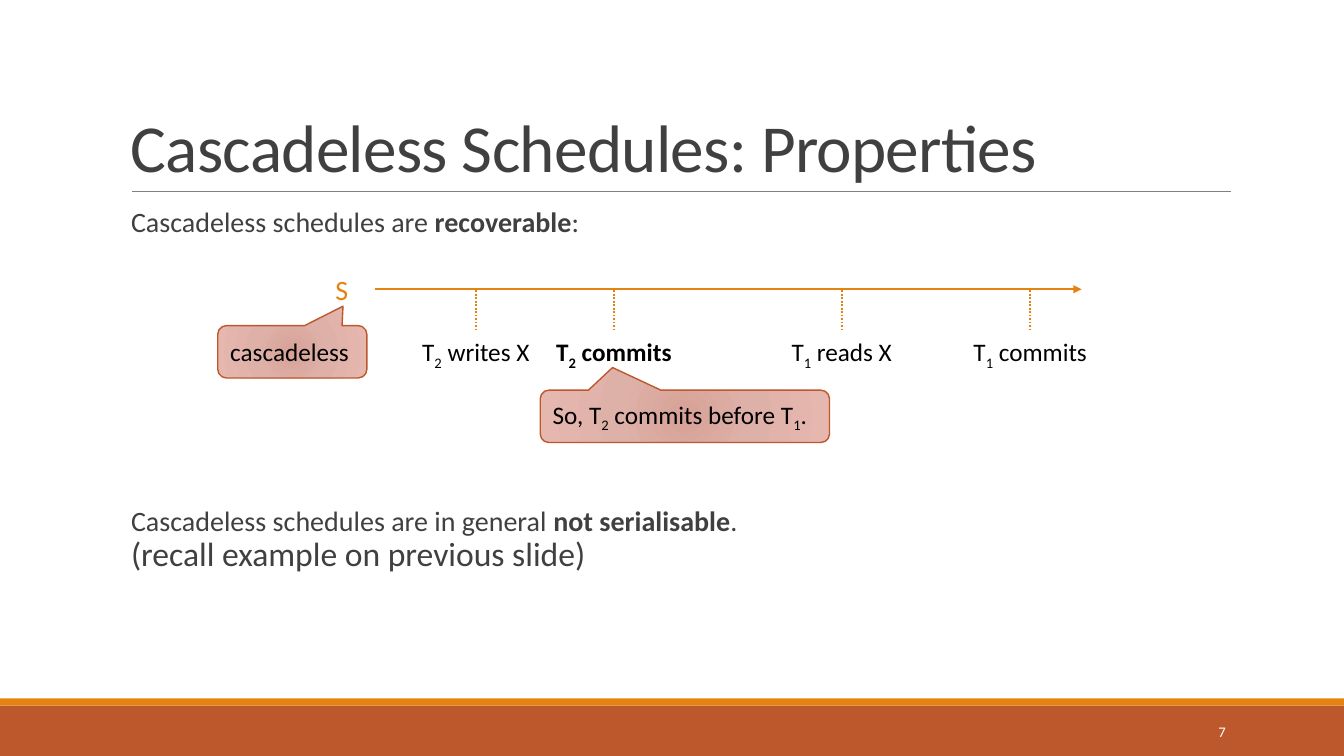
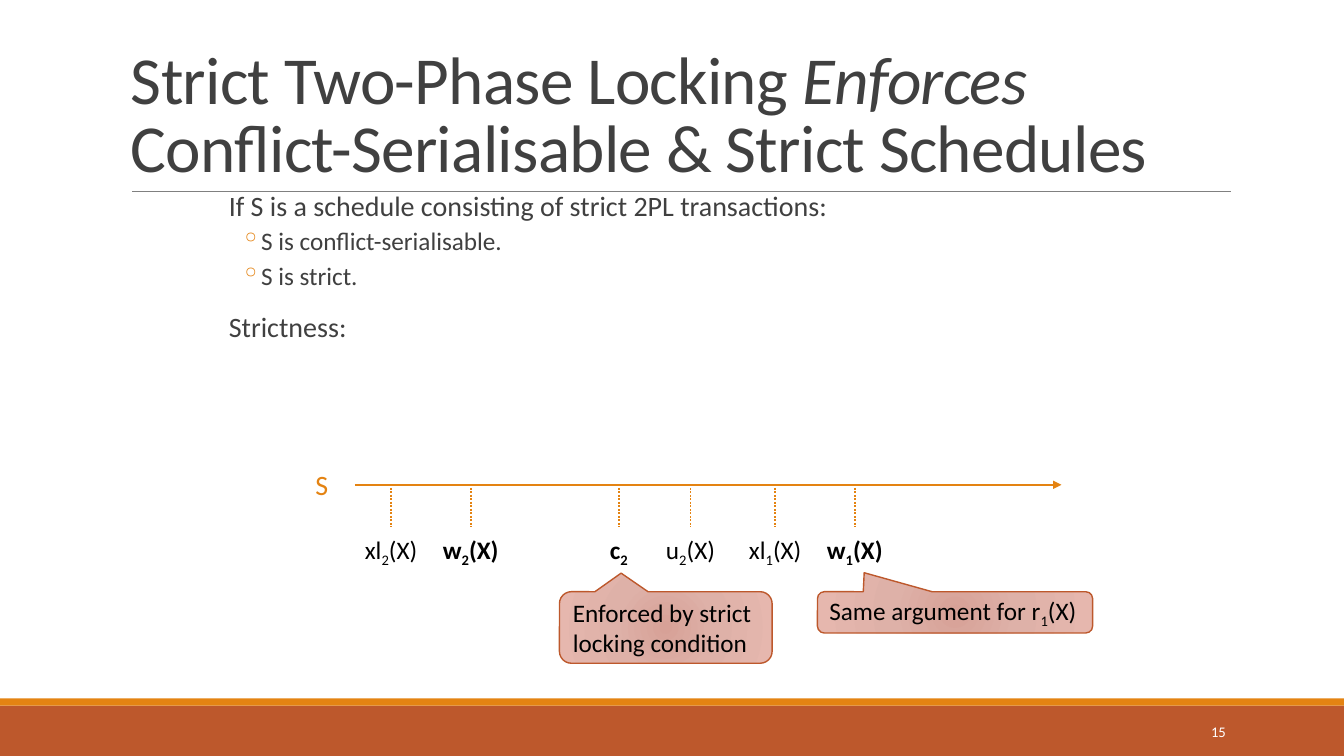
from dataclasses import dataclass

from lxml.etree import SubElement
from pptx import Presentation
from pptx.dml.color import RGBColor
from pptx.enum.dml import MSO_LINE
from pptx.enum.shapes import MSO_CONNECTOR, MSO_SHAPE
from pptx.enum.text import MSO_ANCHOR, MSO_AUTO_SIZE, PP_ALIGN
from pptx.oxml import parse_xml
from pptx.oxml.ns import nsdecls, qn
from pptx.util import Emu, Inches, Pt

# Grid: ten columns and ten rows to the inch
COLUMNS, ROWS = 133.33, 75
CELL = Inches(0.1)

FONT = "Calibri"
RUST = RGBColor(0xBD, 0x58, 0x2C)
ORANGE = RGBColor(0xE4, 0x83, 0x12)
GRAY = RGBColor(0x80, 0x80, 0x80)
DARK = RGBColor(0x40, 0x40, 0x40)
BLACK = RGBColor(0, 0, 0)
WHITE = RGBColor(0xFF, 0xFF, 0xFF)
CALLOUT_STOPS = ((0, "D7A197"), (45, "DEB1A8"), (100, "E6B7AE"))

# Timeline measures, in cells
AXIS_LENGTH = 70.1
TICK_LENGTH = 3.9
LABEL_DROP = 4.1
LABEL_HEIGHT = 4


@dataclass(frozen=True)
class Run:
    text: str
    bold: bool = False
    italic: bool = False
    subscript: bool = False
    size: float | None = None


@dataclass(frozen=True)
class Line:
    """One paragraph of body text."""
    runs: list[Run]
    size: float = 20
    before: float = 0
    after: float = 2
    bullet: bool = False


@dataclass(frozen=True)
class Box:
    column: float
    row: float
    width: float
    height: float

    def lengths(self) -> list[Emu]:
        return [cells(n) for n in (self.column, self.row, self.width, self.height)]


@dataclass(frozen=True)
class Event:
    column: float
    text: str
    width: float
    bold: bool = False


@dataclass(frozen=True)
class Timeline:
    column: float
    row: float
    tick_gap: float
    events: list[Event]


@dataclass(frozen=True)
class Callout:
    box: Box
    tip: tuple[float, float]
    text: str


@dataclass(frozen=True)
class Page:
    number: int
    title: list[Run]
    body_box: Box
    body: list[Line]
    timeline: Timeline
    callouts: list[Callout]


def cells(count: float) -> Emu:
    return Emu(round(count * CELL))


def subscripted(text: str, bold: bool = False) -> list[Run]:
    """Split text into runs; the character after each underscore is lowered."""
    first, *rest = text.split("_")
    runs = [Run(first, bold)]
    for part in rest:
        runs.append(Run(part[0], bold, subscript=True))
        if part[1:]:
            runs.append(Run(part[1:], bold))
    return runs


def write(paragraph, runs: list[Run], size: float, color: RGBColor) -> None:
    paragraph.font.name = FONT
    paragraph.font.size = Pt(size)
    paragraph.font.color.rgb = color
    for item in runs:
        if item.text == "\n":
            paragraph.add_line_break()
            continue
        run = paragraph.add_run()
        run.text = item.text
        if item.bold:
            run.font.bold = True
        if item.italic:
            run.font.italic = True
        if item.size:
            run.font.size = Pt(item.size)
        if item.subscript:
            run.font._element.set("baseline", "-25000")


def add_text(slide, box: Box, runs: list[Run], size: float, color: RGBColor,
             align=PP_ALIGN.LEFT, anchor=MSO_ANCHOR.TOP, wrap: bool = True):
    frame = slide.shapes.add_textbox(*box.lengths()).text_frame
    frame.word_wrap = wrap
    frame.auto_size = MSO_AUTO_SIZE.NONE if wrap else MSO_AUTO_SIZE.SHAPE_TO_FIT_TEXT
    frame.vertical_anchor = anchor
    paragraph = frame.paragraphs[0]
    paragraph.alignment = align
    write(paragraph, runs, size, color)
    return paragraph


def add_line(slide, start: tuple[float, float], end: tuple[float, float],
             color: RGBColor = ORANGE, width: float = 1.25,
             dotted: bool = False, arrow: bool = False) -> None:
    points = [cells(n) for n in (*start, *end)]
    connector = slide.shapes.add_connector(MSO_CONNECTOR.STRAIGHT, *points)
    connector.line.color.rgb = color
    connector.line.width = Pt(width)
    if dotted:
        connector.line.dash_style = MSO_LINE.ROUND_DOT
    properties = connector._element.spPr
    if arrow:
        SubElement(properties.find(qn("a:ln")), qn("a:tailEnd"), type="triangle")
    SubElement(properties, qn("a:effectLst"))


def add_band(slide, row: float, height: float, color: RGBColor) -> None:
    box = Box(0, row, COLUMNS, height)
    band = slide.shapes.add_shape(MSO_SHAPE.RECTANGLE, *box.lengths())
    band.shadow.inherit = False
    band.fill.solid()
    band.fill.fore_color.rgb = color
    band.line.fill.background()


def add_frame(slide, page: Page) -> None:
    """Bands, title with its rule, and page number."""
    add_band(slide, ROWS - 5, 5, RUST)
    add_band(slide, ROWS - 5.7, 0.7, ORANGE)
    add_line(slide, (13.1, 19), (122.1, 19), GRAY, 0.5)
    title = add_text(slide, Box(12, 3.1, 110, 15.9), page.title, 48, DARK,
                     anchor=MSO_ANCHOR.BOTTOM)
    title.line_spacing = 0.85
    title.font._element.set("spc", "-50")
    add_text(slide, Box(108.3, 70.6, 14.3, 4), [Run(str(page.number))], 10.5, WHITE,
             PP_ALIGN.RIGHT, MSO_ANCHOR.MIDDLE)


def add_body(slide, box: Box, lines: list[Line]) -> None:
    frame = slide.shapes.add_textbox(*box.lengths()).text_frame
    frame.word_wrap = True
    frame.margin_left = frame.margin_right = 0
    for index, line in enumerate(lines):
        paragraph = frame.add_paragraph() if index else frame.paragraphs[0]
        properties = paragraph._element.get_or_add_pPr()
        properties.set("marL", str(Inches(0.42 if line.bullet else 0.1)))
        if line.bullet:
            properties.set("indent", str(-Inches(0.2)))
            bullet_color = SubElement(properties, qn("a:buClr"))
            SubElement(bullet_color, qn("a:srgbClr"), val=str(ORANGE))
            SubElement(properties, qn("a:buChar"), char="◦")
        paragraph.line_spacing = 0.9
        paragraph.space_before = Pt(line.before)
        paragraph.space_after = Pt(line.after)
        write(paragraph, line.runs, line.size, DARK)


def add_timeline(slide, timeline: Timeline) -> None:
    column, row = timeline.column, timeline.row
    add_line(slide, (column, row), (column + AXIS_LENGTH, row), arrow=True)
    add_text(slide, Box(column - 4.9, row - 2.2, 3.3, 4.4), [Run("S")], 20, ORANGE,
             wrap=False)
    tick_row = row + timeline.tick_gap
    for event in timeline.events:
        add_line(slide, (event.column, tick_row),
                 (event.column, tick_row + TICK_LENGTH), dotted=True)
        label = Box(event.column - event.width / 2, tick_row + LABEL_DROP,
                    event.width, LABEL_HEIGHT)
        add_text(slide, label, subscripted(event.text, event.bold), 18, BLACK,
                 PP_ALIGN.CENTER, wrap=False)


def add_callout(slide, callout: Callout) -> None:
    shape = slide.shapes.add_shape(MSO_SHAPE.ROUNDED_RECTANGULAR_CALLOUT,
                                   *callout.box.lengths())
    shape.adjustments[0], shape.adjustments[1] = callout.tip
    shape.shadow.inherit = False
    shape.line.color.rgb = RUST
    shape.line.width = Pt(1)
    # Radial gradient, placed right after the outline geometry
    stops = "".join(f'<a:gs pos="{position * 1000}"><a:srgbClr val="{color}"/></a:gs>'
                    for position, color in CALLOUT_STOPS)
    edges = " ".join(f'{side}="100000"' for side in "ltrb")
    shape._element.spPr.insert(2, parse_xml(
        f'<a:gradFill {nsdecls("a")}><a:gsLst>{stops}</a:gsLst>'
        f'<a:path path="circle"><a:fillToRect {edges}/></a:path></a:gradFill>'))
    frame = shape.text_frame
    frame.word_wrap = True
    frame.vertical_anchor = MSO_ANCHOR.MIDDLE
    paragraph = frame.paragraphs[0]
    paragraph.alignment = PP_ALIGN.LEFT
    write(paragraph, subscripted(callout.text), 18, BLACK)


PAGES = [
    Page(
        7,
        [Run("Cascadeless Schedules: Properties")],
        Box(12, 20.2, 110, 44),
        [
            Line([Run("Cascadeless schedules are "), Run("recoverable", bold=True),
                  Run(":")]),
            Line([Run("Cascadeless schedules are in general "),
                  Run("not serialisable", bold=True), Run("."), Run("\n"),
                  Run("(recall example on previous slide)", size=24)], before=190),
        ],
        Timeline(37.2, 28.7, 0.1, [
            Event(47.2, "T_2 writes X", 12.9),
            Event(60.9, "T_2 commits", 13.9, bold=True),
            Event(83.5, "T_1 reads X", 12.2),
            Event(102.2, "T_1 commits", 13.9),
        ]),
        [
            Callout(Box(21.6, 32.3, 14.8, 5.2), (0.34, -0.87), "cascadeless"),
            Callout(Box(53.6, 38.7, 28.7, 5.2), (-0.25, -0.93),
                    "So, T_2 commits before T_1."),
        ],
    ),
    Page(
        15,
        [Run("Strict Two-Phase Locking "), Run("Enforces", italic=True),
         Run(" Conflict-Serialisable & Strict Schedules")],
        Box(21.7, 18.6, 90, 23),
        [
            Line([Run("If S is a schedule consisting of strict 2PL transactions:")]),
            Line([Run("S is conflict-serialisable.")], 18, 2, 4, bullet=True),
            Line([Run("S is strict.")], 18, 2, 4, bullet=True),
            Line([Run("Strictness:")], before=12),
        ],
        Timeline(35.2, 48.1, 0.3, [
            Event(38.8, "xl_2(X)", 7.4),
            Event(46.7, "w_2(X)", 7.7, bold=True),
            Event(61.4, "c_2", 3.9, bold=True),
            Event(68.5, "u_2(X)", 7.1),
            Event(76.9, "xl_1(X)", 7.6),
            Event(84.8, "w_1(X)", 7.7, bold=True),
        ]),
        [
            Callout(Box(55.5, 58.7, 21.1, 7.1), (-0.21, -0.76),
                    "Enforced by strict locking condition"),
            Callout(Box(81.1, 58.7, 27.3, 4.1), (-0.33, -0.96),
                    "Same argument for r_1(X)"),
        ],
    ),
]


def main() -> None:
    presentation = Presentation()
    presentation.slide_width = cells(COLUMNS)
    presentation.slide_height = cells(ROWS)
    for page in PAGES:
        slide = presentation.slides.add_slide(presentation.slide_layouts[6])
        add_frame(slide, page)
        add_body(slide, page.body_box, page.body)
        add_timeline(slide, page.timeline)
        for callout in page.callouts:
            add_callout(slide, callout)
    presentation.save("out.pptx")


if __name__ == "__main__":
    main()
